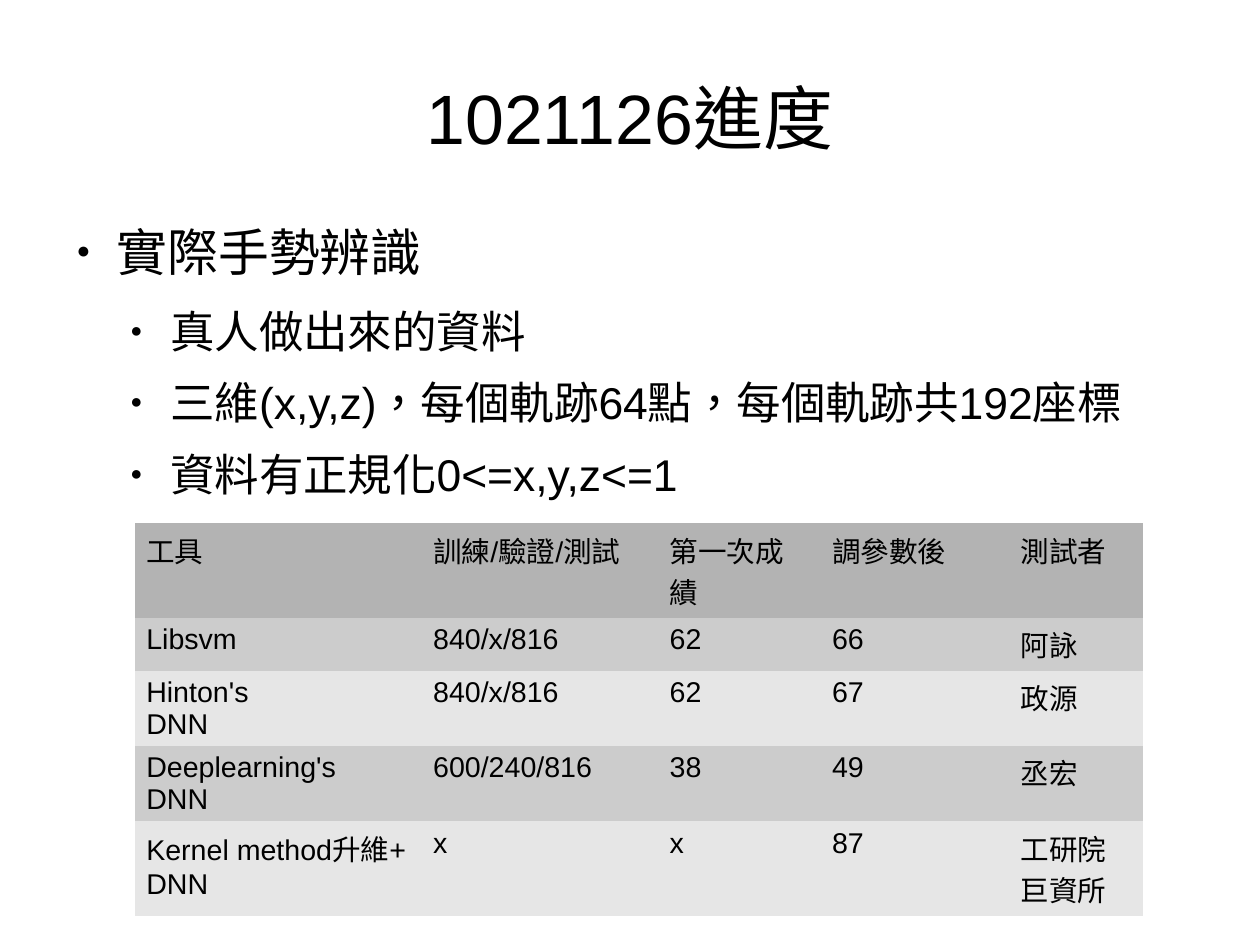
"""Build the 1021126 progress slide with bullets and a results table."""
from lxml import etree
from pptx import Presentation
from pptx.dml.color import RGBColor as Rgb
from pptx.enum.lang import MSO_LANGUAGE_ID as Lang
from pptx.enum.text import MSO_ANCHOR as Anchor, MSO_AUTO_SIZE as Fit, PP_ALIGN as Align
from pptx.oxml.ns import qn
from pptx.util import Cm, Inches, Pt

TITLE = "1021126進度"
POINTS = [
    (0, "實際手勢辨識"),
    (1, "真人做出來的資料"),
    (1, "三維(x,y,z)，每個軌跡64點，每個軌跡共192座標"),
    (1, "資料有正規化0<=x,y,z<=1"),
]
LEVELS = [(32, 14.2), (28, 11.3)]
ROWS = [
    ("工具", "訓練/驗證/測試", "第一次成績", "調參數後", "測試者"),
    ("Libsvm", "840/x/816", "62", "66", "阿詠"),
    ("Hinton's\nDNN", "840/x/816", "62", "67", "政源"),
    ("Deeplearning's\nDNN", "600/240/816", "38", "49", "丞宏"),
    ("Kernel method升維+ DNN", "x", "x", "87", "工研院巨資所"),
]
WIDTHS = [2.51, 2.07, 1.42, 1.65, 1.17]
HEIGHTS = [0.82, 0.46, 0.66, 0.66, 0.82]
HEAD, BANDS = "B3B3B3", ("CCCCCC", "E6E6E6")
PLAIN = "{2D5ABB26-0587-4C30-8999-92F81FD0307C}"
INK = "000000"
STEP, HANG = 0.47, 0.35


def color(code):
    return Rgb.from_string(code)


def style(par, size):
    par.font.size = Pt(size)
    par.font.name = "Arial"
    par.font.color.rgb = color(INK)
    for run in par.runs:
        run.font.language_id = Lang.TRADITIONAL_CHINESE


def bare(frame):
    frame.margin_left = frame.margin_right = 0
    frame.margin_top = frame.margin_bottom = 0
    frame.word_wrap = True
    frame.auto_size = Fit.NONE


def bullet(par, level):
    props = par._p.get_or_add_pPr()
    props.set("marL", str(Inches(STEP * (level + 1))))
    props.set("indent", str(-Inches(HANG)))
    tint = etree.SubElement(props, qn("a:buClr"))
    etree.SubElement(tint, qn("a:srgbClr"), val=INK)
    etree.SubElement(props, qn("a:buSzPct"), val="45000")
    etree.SubElement(props, qn("a:buFont"), typeface="Arial")
    etree.SubElement(props, qn("a:buChar"), char="●")


def add_title(slide):
    title = slide.shapes.title
    title.left, title.top = Inches(0.55), Inches(0.33)
    title.width, title.height = Inches(9.92), Inches(1.38)
    frame = title.text_frame
    bare(frame)
    frame.vertical_anchor = Anchor.MIDDLE
    frame.text = TITLE
    par = frame.paragraphs[0]
    par.alignment = Align.CENTER
    style(par, 44)


def add_points(slide):
    box = slide.shapes.add_textbox(Inches(0.55), Inches(1.93), Inches(9.92), Inches(4.8))
    frame = box.text_frame
    bare(frame)
    frame.text = "\n".join(text for _, text in POINTS)
    for par, (level, _) in zip(frame.paragraphs, POINTS):
        size, gap = LEVELS[level]
        par.level = level
        par.space_after = Pt(gap)
        bullet(par, level)
        style(par, size)


def add_scores(slide):
    shape = slide.shapes.add_table(
        len(ROWS), len(WIDTHS), Inches(1.18), Inches(4.58),
        Inches(sum(WIDTHS)), Inches(sum(HEIGHTS)))
    table = shape.table
    table.first_row = table.horz_banding = False
    table._tbl.tblPr.find(qn("a:tableStyleId")).text = PLAIN
    for col, width in zip(table.columns, WIDTHS):
        col.width = Inches(width)
    for i, (row, height) in enumerate(zip(table.rows, HEIGHTS)):
        row.height = Inches(height)
        for cell, text in zip(row.cells, ROWS[i]):
            cell.fill.solid()
            cell.fill.fore_color.rgb = color(BANDS[(i - 1) % 2] if i else HEAD)
            cell.text = text
            for par in cell.text_frame.paragraphs:
                style(par, 18)


def main():
    deck = Presentation()
    deck.slide_width, deck.slide_height = Cm(28), Cm(21)
    slide = deck.slides.add_slide(deck.slide_layouts[5])
    add_title(slide)
    add_points(slide)
    add_scores(slide)
    deck.save("out.pptx")


if __name__ == "__main__":
    main()
